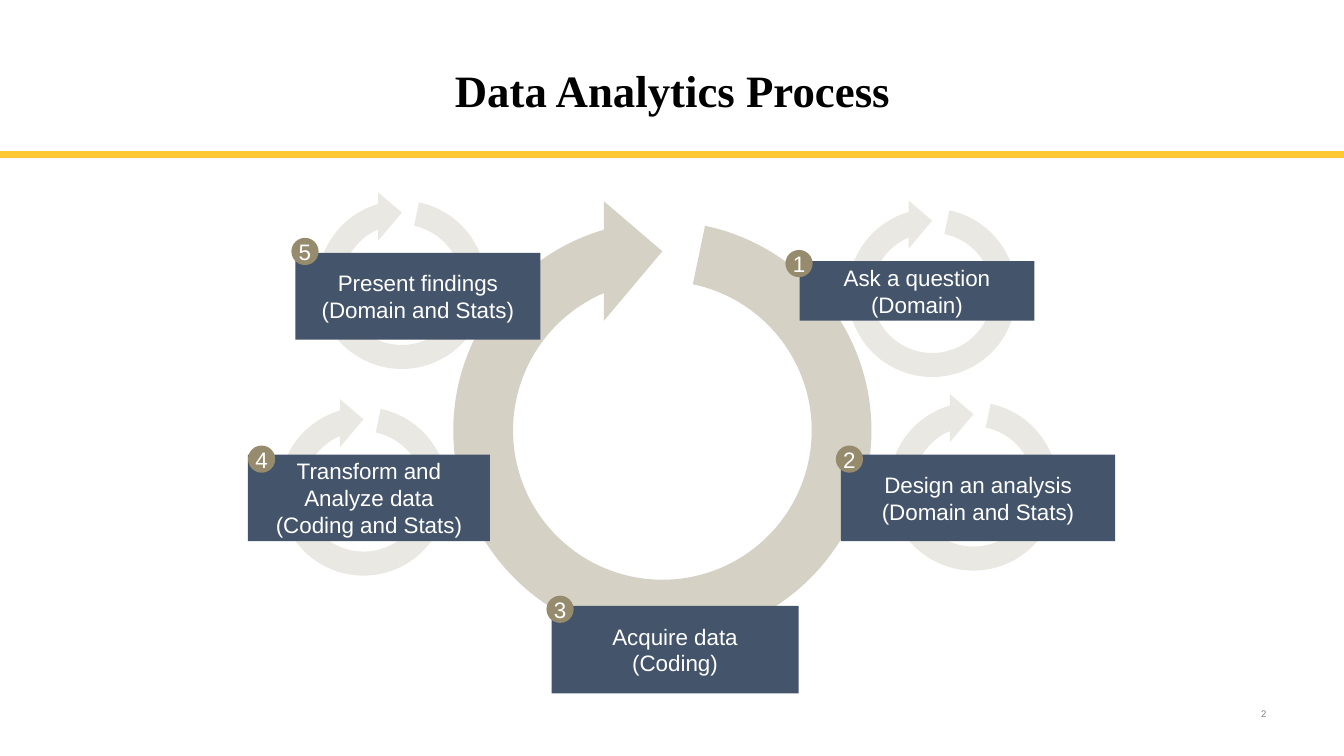
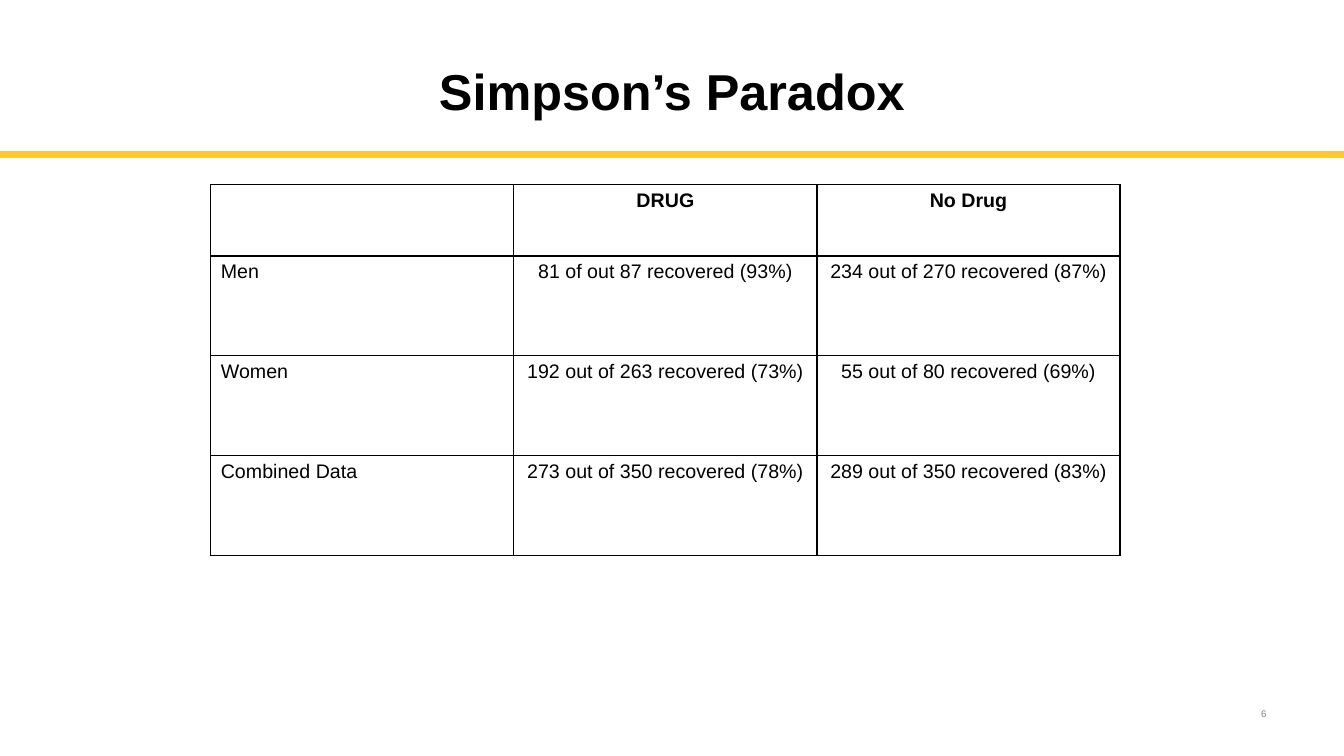
from lxml import etree
from pptx import Presentation
from pptx.dml.color import RGBColor
from pptx.enum import shapes as sh, text as tx
from pptx.oxml import ns
from pptx.util import Inches, Pt

HUES = {
    "white": "FFFFFF", "black": "000000", "gold": "FFC832", "navy": "44546A",
    "sand": "D5D1C5", "pale": "EAE8E2", "olive": "968C6D", "gray": "808080",
}
SANS, SERIF = "Arial", "Times New Roman"
LEFT, MID, RIGHT = tx.PP_ALIGN.LEFT, tx.PP_ALIGN.CENTER, tx.PP_ALIGN.RIGHT
KIND = sh.MSO_SHAPE

# Step text, box (left, top, width, height), badge corner
STEPS = [
    ("Ask a question\n(Domain)", (7.93, 2.59, 2.33, 0.59), (7.79, 2.48)),
    ("Design an analysis\n(Domain and Stats)", (8.34, 4.51, 2.72, 0.86), (8.29, 4.42)),
    ("Acquire data\n(Coding)", (5.47, 6.01, 2.45, 0.87), (5.42, 5.91)),
    ("Transform and Analyze data\n(Coding and Stats)", (2.46, 4.51, 2.4, 0.86), (2.46, 4.42)),
    ("Present findings\n(Domain and Stats)", (2.93, 2.51, 2.43, 0.86), (2.89, 2.36)),
]
# Left, top, size, colour
RINGS = [(x, y, 1.91, "pale") for x, y in
         [(8.29, 1.95), (3.03, 1.87), (8.7, 3.87), (2.65, 3.92)]]
RINGS.append((4.2, 1.9, 4.74, "sand"))

TRIAL = [
    ("", "DRUG", "No Drug"),
    ("Men", "81 of out 87 recovered (93%)", "234 out of 270 recovered (87%)"),
    ("Women", "192 out of 263 recovered (73%)", "55 out of 80 recovered (69%)"),
    ("Combined Data", "273 out of 350 recovered (78%)", "289 out of 350 recovered (83%)"),
]


def color(name):
    return RGBColor.from_string(HUES[name])


def write(frame, words, size=16, font=SANS, hue="white", bold=False, align=MID):
    frame.text = words
    for para in frame.paragraphs:
        para.alignment = align
        face = para.font
        face.size, face.name, face.bold = Pt(size), font, bold
        face.color.rgb = color(hue)


def center(frame, inset=None):
    frame.word_wrap = True
    frame.auto_size = tx.MSO_AUTO_SIZE.NONE
    frame.vertical_anchor = tx.MSO_ANCHOR.MIDDLE
    if inset is not None:
        frame.margin_left = frame.margin_right = Inches(inset)
        frame.margin_top = frame.margin_bottom = Inches(inset)


def block(slide, kind, at, hue):
    shape = slide.shapes.add_shape(kind, *map(Inches, at))
    shape.shadow.inherit = False
    shape.fill.solid()
    shape.fill.fore_color.rgb = color(hue)
    shape.line.fill.background()
    return shape


def ring(slide, left, top, size, hue):
    shape = block(slide, KIND.CIRCULAR_ARROW, (left, top, size, size), hue)
    shape.rotation = 270
    for i, value in enumerate((0.125, 11.423, 204.577, 7.061, 0.125)):
        shape.adjustments[i] = value


def label(slide, kind, at, hue, words, inset=None):
    frame = block(slide, kind, at, hue).text_frame
    center(frame, inset)
    write(frame, words)


def band(deck, layout):
    # Draw the gold rule, then move it to the shared layout
    slide = deck.slides[0]
    bar = block(slide, KIND.RECTANGLE, (0, 1.5, 13.33, 0.06), "gold")
    bar.line.color.rgb = color("gold")
    bar.line.width = Pt(0.75)
    layout.shapes.element.append(bar.element)


def page(deck, layout, title, at, number, **style):
    slide = deck.slides.add_slide(layout)
    head = slide.shapes.title
    head.left, head.top, head.width, head.height = map(Inches, at)
    center(head.text_frame)
    write(head.text_frame, title, hue="black", bold=True, **style)
    # Page number
    box = slide.shapes.add_textbox(*map(Inches, (9.73, 6.88, 2.93, 0.4)))
    center(box.text_frame)
    write(box.text_frame, number, size=6.8, hue="gray", align=RIGHT)
    return slide


def border(cell):
    props = cell._tc.get_or_add_tcPr()
    for i, side in enumerate(("lnL", "lnR", "lnT", "lnB")):
        line = etree.Element(ns.qn("a:" + side), w=str(Pt(1)))
        fill = etree.SubElement(line, ns.qn("a:solidFill"))
        etree.SubElement(fill, ns.qn("a:srgbClr"), val=HUES["black"])
        props.insert(i, line)


def grid(slide, rows, at, top):
    frame = slide.shapes.add_table(len(rows), len(rows[0]), *map(Inches, at))
    table = frame.table
    table.first_row = table.horz_banding = False
    rest = (at[3] - top) / (len(rows) - 1)
    for r, row in enumerate(rows):
        table.rows[r].height = Inches(rest if r else top)
        for c, words in enumerate(row):
            cell = table.cell(r, c)
            cell.fill.solid()
            cell.fill.fore_color.rgb = color("white")
            border(cell)
            write(cell.text_frame, words, size=14, hue="black",
                  bold=r == 0, align=MID if c else LEFT)


def main():
    deck = Presentation()
    deck.slide_width, deck.slide_height = Inches(13.33), Inches(7.5)
    layout = deck.slide_layouts[5]

    # Process cycle
    cycle = page(deck, layout, "Data Analytics Process", (2.17, 0.38, 9, 1.02),
                 "2", size=32, font=SERIF)
    band(deck, layout)
    for spot in RINGS:
        ring(cycle, *spot)
    for words, at, _ in STEPS:
        label(cycle, KIND.RECTANGLE, at, "navy", words)
    for n, (_, _, spot) in enumerate(STEPS, 1):
        label(cycle, KIND.OVAL, (*spot, 0.27, 0.27), "olive", str(n), inset=0)

    # Trial table
    trial = page(deck, layout, "Simpson’s Paradox", (0.66, 0.5, 12.01, 0.79),
                 "6", size=36)
    grid(trial, TRIAL, (2.09, 1.83, 9.02, 3.68), top=0.71)

    deck.save("out.pptx")


if __name__ == "__main__":
    main()
